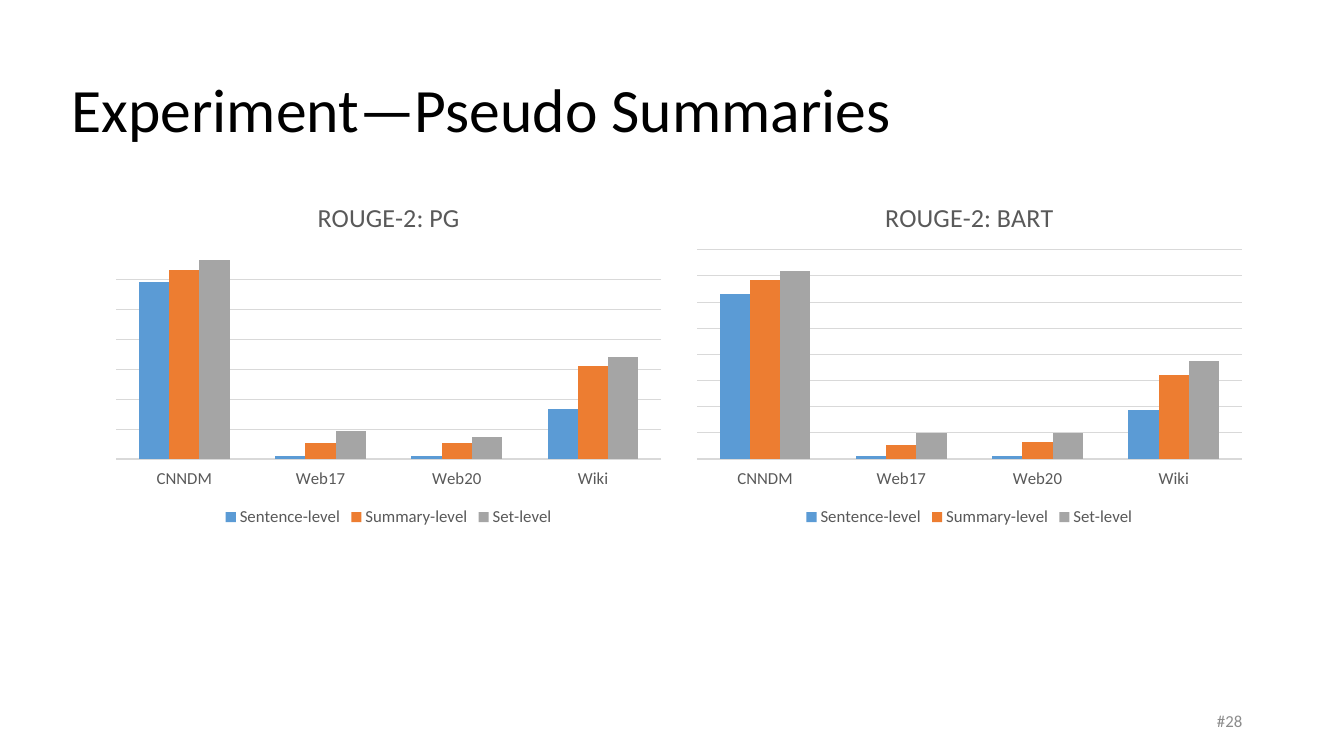
from pptx import Presentation
from pptx.chart.data import CategoryChartData
from pptx.dml.color import RGBColor
from pptx.enum.chart import XL_CHART_TYPE, XL_LEGEND_POSITION, XL_TICK_LABEL_POSITION, XL_TICK_MARK
from pptx.enum.text import MSO_ANCHOR, PP_ALIGN
from pptx.util import Emu, Pt

EMU_PER_PX = 9144  # 100 px to the inch
FONT = "Calibri"
GREY_TEXT = "595959"
GREY_LINE = "D9D9D9"
DATASETS = ["CNNDM", "Web17", "Web20", "Wiki"]
LEVEL_COLORS = {"Sentence-level": "5B9BD5", "Summary-level": "ED7D31", "Set-level": "A5A5A5"}
CHARTS = [
    {"title": "ROUGE-2: PG", "low": 36, "high": 103.4, "step": 9.63,
     "scores": [[93, 37, 37, 52], [97, 41, 41, 66], [100, 45, 43, 69]]},
    {"title": "ROUGE-2: BART", "low": 35, "high": 107.4, "step": 9.05,
     "scores": [[92, 36, 36, 52], [97, 40, 41, 64], [100, 44, 44, 69]]},
]
CHART_LEFT, CHART_TOP, CHART_WIDTH, CHART_HEIGHT = 104, 181, 563, 346
CHART_PITCH = 576


def px(length):
    return Emu(length * EMU_PER_PX)


def color(hex_text):
    return RGBColor.from_string(hex_text)


def style_font(font, size, hex_text):
    font.name = FONT
    font.size = Pt(size)
    font.bold = False
    font.color.rgb = color(hex_text)


def style_line(line):
    line.color.rgb = color(GREY_LINE)
    line.width = Pt(0.75)


def place(shape, left, top, width, height):
    shape.left, shape.top, shape.width, shape.height = map(px, (left, top, width, height))


def write(shape, text, size, hex_text, align, line_spacing=1.0):
    """Fill a shape with one vertically centred paragraph."""
    frame = shape.text_frame
    frame.word_wrap = True
    frame.vertical_anchor = MSO_ANCHOR.MIDDLE
    para = frame.paragraphs[0]
    para.alignment = align
    para.line_spacing = line_spacing
    span = para.add_run()
    span.text = text
    style_font(span.font, size, hex_text)


def add_score_chart(page, left, title, low, high, step, scores):
    data = CategoryChartData()
    data.categories = DATASETS
    for level, values in zip(LEVEL_COLORS, scores):
        data.add_series(level, values)
    chart = page.shapes.add_chart(
        XL_CHART_TYPE.COLUMN_CLUSTERED, px(left), px(CHART_TOP),
        px(CHART_WIDTH), px(CHART_HEIGHT), data).chart
    style_font(chart.font, 10, "000000")

    chart.has_title = True
    chart.chart_title.include_in_layout = False
    span = chart.chart_title.text_frame.paragraphs[0].add_run()
    span.text = title
    style_font(span.font, 18.6, GREY_TEXT)

    chart.has_legend = True
    chart.legend.position = XL_LEGEND_POSITION.BOTTOM
    chart.legend.include_in_layout = False
    style_font(chart.legend.font, 12, GREY_TEXT)

    dataset_axis = chart.category_axis
    dataset_axis.major_tick_mark = XL_TICK_MARK.NONE
    dataset_axis.tick_label_position = XL_TICK_LABEL_POSITION.LOW
    style_font(dataset_axis.tick_labels.font, 12, GREY_TEXT)
    style_line(dataset_axis.format.line)

    score_axis = chart.value_axis
    score_axis.minimum_scale = low
    score_axis.maximum_scale = high
    score_axis.major_unit = step
    score_axis.has_major_gridlines = True
    style_line(score_axis.major_gridlines.format.line)
    score_axis.visible = False

    plot = chart.plots[0]
    plot.gap_width = 150
    plot.overlap = 0
    plot.vary_by_categories = False
    for series in plot.series:
        series.format.fill.solid()
        series.format.fill.fore_color.rgb = color(LEVEL_COLORS[series.name])


def main():
    deck = Presentation()
    deck.slide_width, deck.slide_height = px(1333), px(750)
    page = deck.slides.add_slide(deck.slide_layouts[5])

    for index, chart in enumerate(CHARTS):
        add_score_chart(page, CHART_LEFT + index * CHART_PITCH, **chart)

    number_box = page.shapes.add_textbox(px(942), px(695), px(300), px(40))
    write(number_box, "#28", 12, "8C8C8C", PP_ALIGN.RIGHT)

    title = page.shapes.title
    place(title, 61, 39, 1150, 145)
    write(title, "Experiment—Pseudo Summaries", 44, "000000", PP_ALIGN.LEFT, line_spacing=0.9)

    deck.save("out.pptx")


if __name__ == "__main__":
    main()
